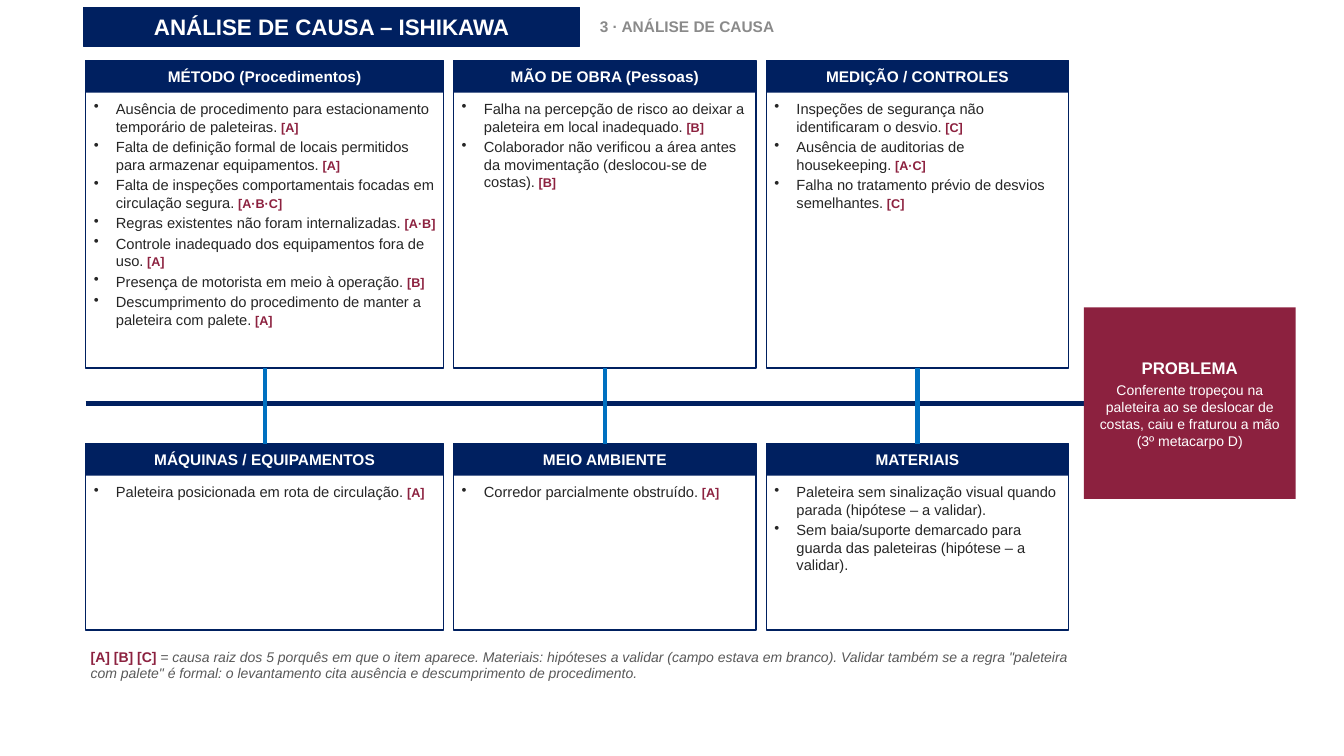
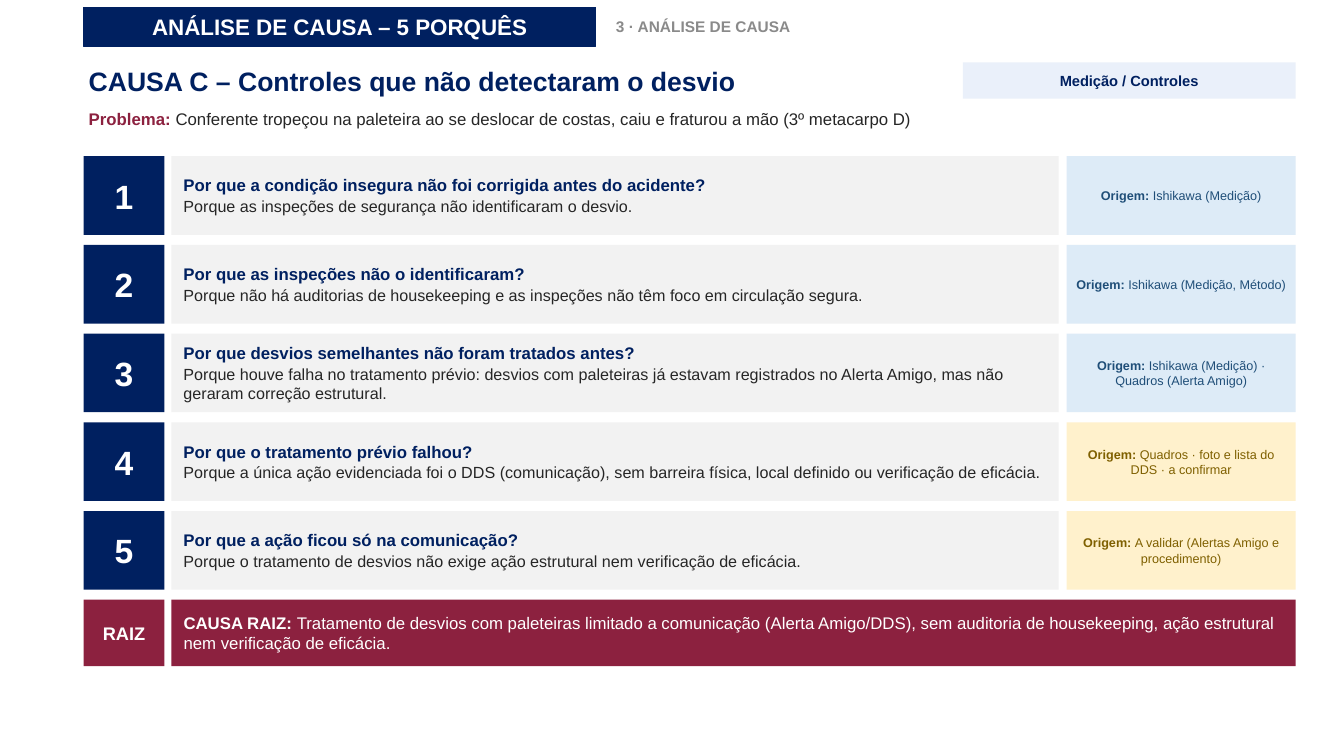
from dataclasses import dataclass
from typing import NamedTuple, Optional

from lxml.etree import SubElement
from pptx import Presentation
from pptx.dml.color import RGBColor
from pptx.enum.shapes import MSO_CONNECTOR, MSO_SHAPE
from pptx.enum.text import MSO_ANCHOR as Anchor, MSO_AUTO_SIZE as AutoSize, PP_ALIGN as Align
from pptx.oxml.ns import qn
from pptx.util import Inches, Pt

COLORS = {
    "white": "FFFFFF",
    "navy": "002060",
    "blue": "0070C0",
    "wine": "8C213F",
    "ink": "262626",
    "gray": "8A8A8A",
    "note": "595959",
    "answer": "F2F2F2",
    "category": "EAF0FA",
    "found": "DDEBF7",
    "found_ink": "1F4E78",
    "pending": "FFF1CC",
    "pending_ink": "7F6000",
}
FONT = "Arial"
LEFT, RIGHT = 0.83, 12.85
PROBLEM = ("Conferente tropeçou na paleteira ao se deslocar de costas, "
           "caiu e fraturou a mão (3º metacarpo D)")
EN_SPACE = " "


class Area(NamedTuple):
    left: float
    top: float
    width: float
    height: float


@dataclass
class Span:
    """Text whose set fields override the font of its paragraph."""
    text: str
    size: Optional[float] = None
    color: Optional[str] = None
    bold: Optional[bool] = None
    italic: Optional[bool] = None


@dataclass
class Para:
    spans: list[Span]
    size: float
    color: str = "ink"
    bold: bool = False
    align: Align = Align.LEFT
    after: float = 2
    bullet: bool = False


class Cause(NamedTuple):
    text: str
    roots: str = ""


class Category(NamedTuple):
    title: str
    causes: list[Cause]


class Why(NamedTuple):
    question: str
    answer: str
    source: str
    status: str


COLUMNS = [(0.85, 3.55), (4.5, 3), (7.6, 3)]
BANDS = [(0.6, 3.05), (4.4, 1.85)]
CATEGORIES = [
    [
        Category("MÉTODO (Procedimentos)", [
            Cause("Ausência de procedimento para estacionamento temporário de paleteiras.", "A"),
            Cause("Falta de definição formal de locais permitidos para armazenar equipamentos.", "A"),
            Cause("Falta de inspeções comportamentais focadas em circulação segura.", "A·B·C"),
            Cause("Regras existentes não foram internalizadas.", "A·B"),
            Cause("Controle inadequado dos equipamentos fora de uso.", "A"),
            Cause("Presença de motorista em meio à operação.", "B"),
            Cause("Descumprimento do procedimento de manter a paleteira com palete.", "A"),
        ]),
        Category("MÃO DE OBRA (Pessoas)", [
            Cause("Falha na percepção de risco ao deixar a paleteira em local inadequado.", "B"),
            Cause("Colaborador não verificou a área antes da movimentação "
                  "(deslocou-se de costas).", "B"),
        ]),
        Category("MEDIÇÃO / CONTROLES", [
            Cause("Inspeções de segurança não identificaram o desvio.", "C"),
            Cause("Ausência de auditorias de housekeeping.", "A·C"),
            Cause("Falha no tratamento prévio de desvios semelhantes.", "C"),
        ]),
    ],
    [
        Category("MÁQUINAS / EQUIPAMENTOS", [
            Cause("Paleteira posicionada em rota de circulação.", "A"),
        ]),
        Category("MEIO AMBIENTE", [
            Cause("Corredor parcialmente obstruído.", "A"),
        ]),
        Category("MATERIAIS", [
            Cause("Paleteira sem sinalização visual quando parada (hipótese – a validar)."),
            Cause("Sem baia/suporte demarcado para guarda das paleteiras (hipótese – a validar)."),
        ]),
    ],
]
WHYS = [
    Why("Por que a condição insegura não foi corrigida antes do acidente?",
        "Porque as inspeções de segurança não identificaram o desvio.",
        "Ishikawa (Medição)", "found"),
    Why("Por que as inspeções não o identificaram?",
        "Porque não há auditorias de housekeeping e as inspeções não têm foco "
        "em circulação segura.",
        "Ishikawa (Medição, Método)", "found"),
    Why("Por que desvios semelhantes não foram tratados antes?",
        "Porque houve falha no tratamento prévio: desvios com paleteiras já estavam "
        "registrados no Alerta Amigo, mas não geraram correção estrutural.",
        "Ishikawa (Medição) · Quadros (Alerta Amigo)", "found"),
    Why("Por que o tratamento prévio falhou?",
        "Porque a única ação evidenciada foi o DDS (comunicação), sem barreira física, "
        "local definido ou verificação de eficácia.",
        "Quadros · foto e lista do DDS · a confirmar", "pending"),
    Why("Por que a ação ficou só na comunicação?",
        "Porque o tratamento de desvios não exige ação estrutural nem verificação de eficácia.",
        "A validar (Alertas Amigo e procedimento)", "pending"),
]


def rgb(name: str) -> RGBColor:
    return RGBColor.from_string(COLORS[name])


def style_font(font, size=None, color=None, bold=None, italic=None) -> None:
    if size is not None:
        font.size = Pt(size)
    if color is not None:
        font.color.rgb = rgb(color)
    if bold is not None:
        font.bold = bold
    if italic is not None:
        font.italic = italic


def write(frame, paras: list[Para], anchor: Anchor, insets: tuple) -> None:
    frame.word_wrap = True
    frame.vertical_anchor = anchor
    left, top, right, bottom = (Inches(inset) for inset in insets)
    frame.margin_left, frame.margin_top = left, top
    frame.margin_right, frame.margin_bottom = right, bottom
    for index, para in enumerate(paras):
        paragraph = frame.add_paragraph() if index else frame.paragraphs[0]
        paragraph.alignment = para.align
        paragraph.space_after = Pt(para.after)
        if para.bullet:
            properties = paragraph._p.get_or_add_pPr()
            properties.set("marL", str(Inches(0.22)))
            properties.set("indent", str(-Inches(0.22)))
            SubElement(properties, qn("a:buChar")).set("char", "•")
        paragraph.font.name = FONT
        style_font(paragraph.font, para.size, para.color, para.bold)
        for span in para.spans:
            run = paragraph.add_run()
            run.text = span.text
            style_font(run.font, span.size, span.color, span.bold, span.italic)


def add_panel(page, area: Area, fill: str, paras: Optional[list[Para]] = None,
              line: Optional[str] = None, line_width: float = 1,
              inset_left: float = 0.08) -> None:
    """Draw a filled rectangle with vertically centred text."""
    box = page.shapes.add_shape(MSO_SHAPE.RECTANGLE, *map(Inches, area))
    box.shadow.inherit = False
    box.fill.solid()
    box.fill.fore_color.rgb = rgb(fill)
    if line:
        box.line.color.rgb = rgb(line)
        box.line.width = Pt(line_width)
    else:
        box.line.fill.background()
    if paras:
        write(box.text_frame, paras, Anchor.MIDDLE, (inset_left, 0.05, 0.08, 0.05))


def add_text(page, area: Area, paras: list[Para], anchor: Anchor = Anchor.TOP) -> None:
    box = page.shapes.add_textbox(*map(Inches, area))
    write(box.text_frame, paras, anchor, (0.05, 0.03, 0.05, 0.03))
    box.text_frame.auto_size = AutoSize.SHAPE_TO_FIT_TEXT


def add_line(page, start: tuple, end: tuple, color: str, thickness: float) -> None:
    line = page.shapes.add_connector(MSO_CONNECTOR.STRAIGHT, *map(Inches, start + end))
    line.line.color.rgb = rgb(color)
    line.line.width = Inches(thickness)
    SubElement(line._element.spPr, qn("a:effectLst"))


def label(text: str, size: float, color: str = "white", after: float = 2) -> Para:
    """Make a bold centred paragraph."""
    return Para([Span(text)], size, color, True, Align.CENTER, after)


def add_page(deck, title: str, title_width: float):
    page = deck.slides.add_slide(deck.slide_layouts[6])
    add_panel(page, Area(LEFT, 0.07, title_width, 0.39), "navy", [label(title, 16)],
              line="navy", line_width=0.75)
    add_text(page, Area(LEFT + title_width + 0.15, 0.07, 3, 0.39),
             [Para([Span("3 · ANÁLISE DE CAUSA")], 11, "gray", True, after=4)], Anchor.MIDDLE)
    return page


def cause_para(cause: Cause) -> Para:
    spans = [Span(cause.text)]
    if cause.roots:
        spans.append(Span(f"{EN_SPACE}[{cause.roots}]", 9, "wine", True))
    return Para(spans, 10.5, bullet=True)


def add_category(page, area: Area, category: Category) -> None:
    add_panel(page, area, "white", line="navy")
    add_panel(page, area._replace(height=0.32), "navy", [label(category.title, 11)])
    add_text(page, Area(area.left + 0.03, area.top + 0.36, area.width - 0.06, area.height - 0.4),
             [cause_para(cause) for cause in category.causes])


def build_ishikawa(deck) -> None:
    page = add_page(deck, "ANÁLISE DE CAUSA – ISHIKAWA", 4.92)
    add_line(page, (0.85, 4), (10.75, 4), "navy", 0.05)
    add_panel(page, Area(10.75, 3.05, 2.1, 1.9), "wine", [
        label("PROBLEMA", 12, after=3),
        Para([Span(PROBLEM)], 10, "white", align=Align.CENTER, after=3),
    ])
    for (top, height), row in zip(BANDS, CATEGORIES):
        for (left, width), category in zip(COLUMNS, row):
            add_category(page, Area(left, top, width, height), category)
    rib_top, rib_bottom = sum(BANDS[0]), BANDS[1][0]
    for left, width in COLUMNS:
        center = left + width / 2
        add_line(page, (center, rib_top), (center, rib_bottom), "blue", 0.04)
    add_text(page, Area(0.85, 6.4, 9.8, 0.6), [Para([
        Span("[A] [B] [C]", color="wine", bold=True),
        Span(" = causa raiz dos 5 porquês em que o item aparece. Materiais: hipóteses a validar "
             "(campo estava em branco). Validar também se a regra \"paleteira com palete\" é "
             "formal: o levantamento cita ausência e descumprimento de procedimento.",
             italic=True),
    ], 10, "note", after=4)])


def build_whys(deck) -> None:
    page = add_page(deck, "ANÁLISE DE CAUSA – 5 PORQUÊS", 5.08)
    add_text(page, Area(LEFT, 0.55, 8.6, 0.5),
             [Para([Span("CAUSA C – Controles que não detectaram o desvio")],
                   19, "navy", True, after=4)], Anchor.MIDDLE)
    add_panel(page, Area(9.55, 0.62, 3.3, 0.36), "category",
              [label("Medição / Controles", 10.5, "navy")])
    add_text(page, Area(LEFT, 1.05, 12, 0.4), [Para([
        Span("Problema: ", color="wine", bold=True), Span(PROBLEM)], 12, after=4)])

    first_top, pitch, height = 1.55, 0.88, 0.78
    text_left, source_left = 1.7, 10.58
    for index, why in enumerate(WHYS):
        top = first_top + index * pitch
        add_panel(page, Area(LEFT, top, 0.8, height), "navy", [label(str(index + 1), 24)])
        add_panel(page, Area(text_left, top, 8.8, height), "answer", [
            Para([Span(why.question)], 12, "navy", True, after=1),
            Para([Span(why.answer)], 11.5, after=1),
        ], inset_left=0.12)
        add_panel(page, Area(source_left, top, RIGHT - source_left, height), why.status, [
            Para([Span("Origem: ", bold=True), Span(why.source)], 9, f"{why.status}_ink",
                 align=Align.CENTER)])

    root_top = first_top + len(WHYS) * pitch
    add_panel(page, Area(LEFT, root_top, 0.8, 0.66), "wine", [label("RAIZ", 13)])
    add_panel(page, Area(text_left, root_top, RIGHT - text_left, 0.66), "wine", [Para([
        Span("CAUSA RAIZ: ", bold=True),
        Span("Tratamento de desvios com paleteiras limitado a comunicação (Alerta Amigo/DDS), "
             "sem auditoria de housekeeping, ação estrutural nem verificação de eficácia."),
    ], 12, "white")], inset_left=0.12)


def main() -> None:
    deck = Presentation()
    deck.slide_width, deck.slide_height = Inches(13.33), Inches(7.5)
    build_ishikawa(deck)
    build_whys(deck)
    deck.save("out.pptx")


if __name__ == "__main__":
    main()
